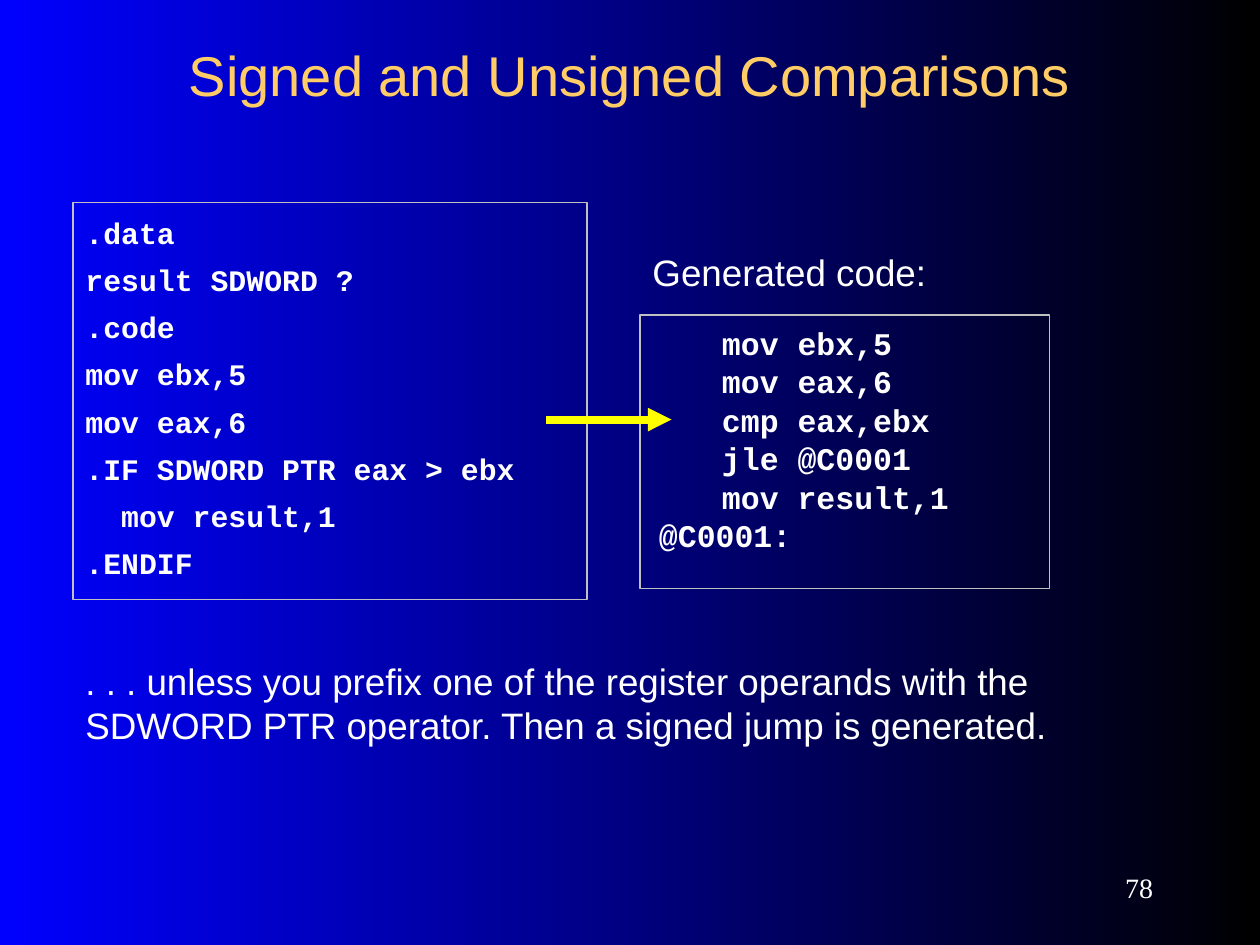
"""Build the slide on signed and unsigned comparisons."""
from dataclasses import dataclass

from lxml import etree
from pptx import Presentation
from pptx.dml.color import RGBColor as Rgb
from pptx.enum import shapes, text
from pptx.oxml import ns
from pptx import util as u


@dataclass(frozen=True)
class Theme:
    """Hold the colours, fonts and type sizes."""
    dark: str = "000000"
    blue: str = "0000FF"
    gold: str = "FFCC66"
    white: str = "FFFFFF"
    edge: str = "C0C0C0"
    arrow: str = "FFFF00"
    sans: str = "Arial"
    mono: str = "Courier New"
    serif: str = "Times New Roman"
    head: float = 32
    body: float = 21
    list: float = 18
    code: float = 17
    page: float = 16


@dataclass(frozen=True)
class Box:
    """Give a place in inches."""
    left: float
    top: float
    width: float
    height: float

    def args(self) -> list[u.Length]:
        """Return the place as lengths."""
        return [u.Inches(n) for n in (self.left, self.top, self.width, self.height)]


@dataclass(frozen=True)
class Code:
    """Describe a framed code listing."""
    box: Box
    lines: str
    size: float
    pad: tuple[float, float]
    space: float
    gap: float
    tab: float = 0


T = Theme()

CODES = [
    Code(Box(5.08, 2.5, 3.25, 2.17),
         "\tmov ebx,5\n\tmov eax,6\n\tcmp eax,ebx\n\tjle @C0001\n\tmov result,1\n@C0001:",
         T.list, (0.15, 0.2), 0.5, 11.2, 0.5),
    Code(Box(0.58, 1.61, 4.08, 3.15),
         ".data\nresult SDWORD ?\n.code\nmov ebx,5\nmov eax,6\n"
         ".IF SDWORD PTR eax > ebx\n  mov result,1\n.ENDIF",
         T.code, (0.1, 0.15), 0.8, 10.6),
]
NOTES = [
    (Box(5.08, 1.83, 3.42, 0.65), "Generated code:"),
    (Box(0.58, 5.08, 8.5, 1), ". . . unless you prefix one of the register operands with the "
     "SDWORD PTR operator. Then a signed jump is generated."),
]


def write(shape, words: str, *, size: float, face: str = T.sans, color: str = T.white,
          bold: bool = False, align=text.PP_ALIGN.LEFT, anchor=text.MSO_ANCHOR.TOP,
          pad: tuple[float, float] = (0.1, 0.05), space: float = 1,
          gap: float = 0, tab: float = 0) -> None:
    """Fill a shape with formatted text, one paragraph a line."""
    frame = shape.text_frame
    frame.word_wrap = True
    frame.vertical_anchor = anchor
    frame.margin_left = frame.margin_right = u.Inches(pad[0])
    frame.margin_top = frame.margin_bottom = u.Inches(pad[1])
    for i, line in enumerate(words.split("\n")):
        para = frame.add_paragraph() if i else frame.paragraphs[0]
        para.alignment = align
        para.line_spacing = space
        para.space_before = u.Pt(gap if i else 0)
        if tab:
            stops = etree.SubElement(para._p.get_or_add_pPr(), ns.qn("a:tabLst"))
            etree.SubElement(stops, ns.qn("a:tab"), pos=str(u.Inches(tab)), algn="l")
        run = para.add_run()
        run.text = line
        font = run.font
        font.name, font.size, font.bold = face, u.Pt(size), bold
        font.color.rgb = Rgb.from_string(color)


def frame(slide, code: Code) -> None:
    """Draw a code listing in a thin frame."""
    rect = slide.shapes.add_shape(shapes.MSO_SHAPE.RECTANGLE, *code.box.args())
    rect.shadow.inherit = False
    rect.fill.background()
    rect.line.color.rgb = Rgb.from_string(T.edge)
    rect.line.width = u.Pt(0.75)
    write(rect, code.lines, size=code.size, face=T.mono, bold=True, pad=code.pad,
          space=code.space, gap=code.gap, tab=code.tab)


def arrow(slide, left: float, right: float, y: float) -> None:
    """Draw a level arrow pointing right."""
    line = slide.shapes.add_connector(
        shapes.MSO_CONNECTOR.STRAIGHT, *(u.Inches(n) for n in (left, y, right, y)))
    line.line.color.rgb = Rgb.from_string(T.arrow)
    line.line.width = u.Pt(4.5)
    etree.SubElement(line.line._get_or_add_ln(), ns.qn("a:tailEnd"), type="triangle")
    etree.SubElement(line._element.spPr, ns.qn("a:effectLst"))


def shade(slide) -> None:
    """Set the background gradient."""
    fill = slide.background.fill
    fill.gradient()
    fill.gradient_angle = 180
    for stop, color in zip(fill.gradient_stops, (T.dark, T.blue)):
        stop.color.rgb = Rgb.from_string(color)


def main() -> None:
    """Build and save the slide."""
    deck = Presentation()
    deck.slide_width, deck.slide_height = u.Inches(10), u.Inches(7.5)
    slide = deck.slides.add_slide(deck.slide_layouts[6])
    shade(slide)

    def label(box: Box, words: str, **form) -> None:
        """Add a text box."""
        write(slide.shapes.add_textbox(*box.args()), words, **form)

    label(Box(0.75, 0.25, 8.5, 0.67), "Signed and Unsigned Comparisons", size=T.head,
          color=T.gold, align=text.PP_ALIGN.CENTER, anchor=text.MSO_ANCHOR.MIDDLE)
    for code in CODES:
        frame(slide, code)
    arrow(slide, 4.33, 5.33, 3.33)
    for box, words in NOTES:
        label(box, words, size=T.body, pad=(0.1, 0.15))
    label(Box(8.17, 6.83, 1.08, 0.42), "78", size=T.page, face=T.serif,
          align=text.PP_ALIGN.RIGHT, anchor=text.MSO_ANCHOR.MIDDLE)
    deck.save("out.pptx")


if __name__ == "__main__":
    main()
